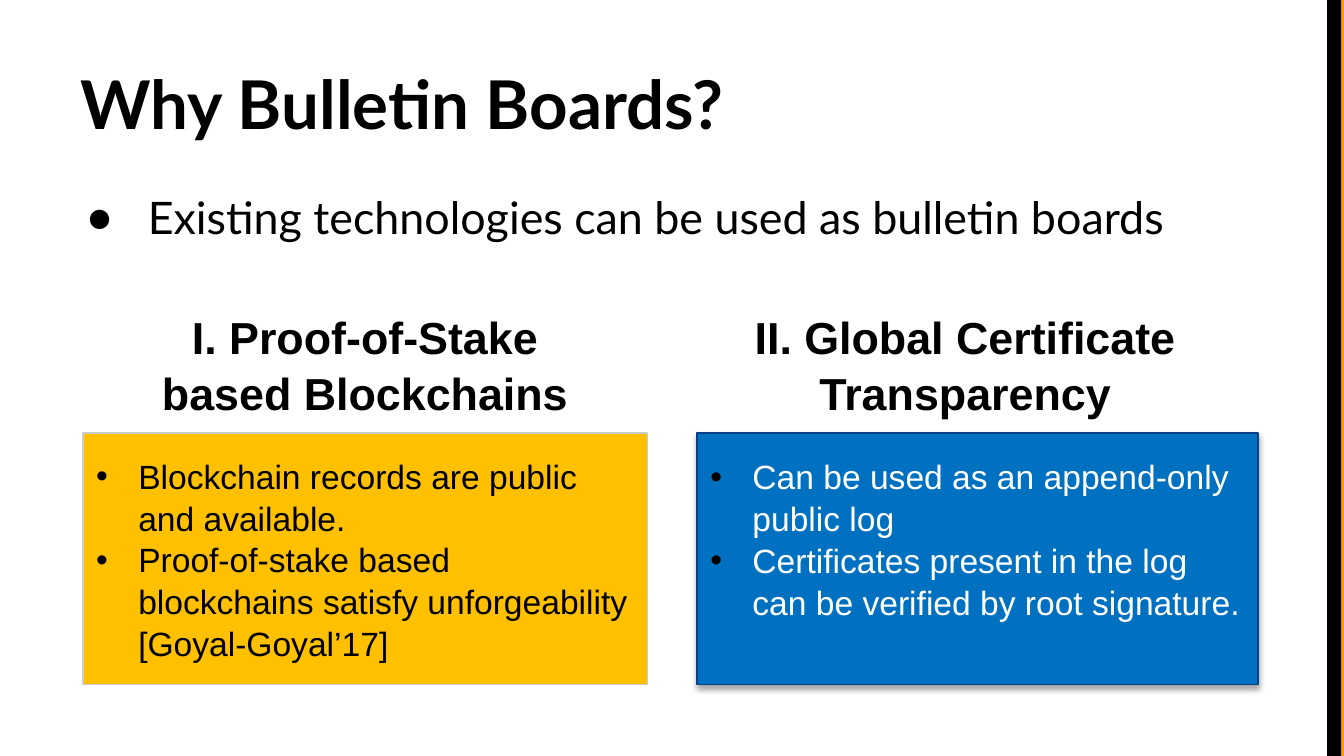
import lxml.etree
import pptx
import pptx.dml.color
import pptx.enum.shapes
import pptx.enum.text
import pptx.oxml.ns
import pptx.util

Pt = pptx.util.Pt
ANCHOR = pptx.enum.text.MSO_ANCHOR
ALIGN = pptx.enum.text.PP_ALIGN
AUTO_SIZE = pptx.enum.text.MSO_AUTO_SIZE

COLORS = {
    "black": "000000",
    "white": "FFFFFF",
    "orange": "FF9900",
    "yellow": "FFC000",
    "gray": "CCCCCC",
    "blue": "0070C0",
    "navy": "073E87",
}
SLIDE_WIDTH, SLIDE_HEIGHT = 720, 405
CARD_TOP, CARD_HEIGHT = 232, 134.75
HEADING_TOP, HEADING_HEIGHT = 161.25, 65.5
LINE_SPACING = 1.04
CARD_LINE = 21.6


def rgb(name):
    return pptx.dml.color.RGBColor.from_string(COLORS[name])


def add_element(parent, tag, **attributes):
    element = lxml.etree.SubElement(parent, pptx.oxml.ns.qn(tag))
    for name, value in attributes.items():
        element.set(name, str(value))
    return element


def add_bullet(paragraph, character, margin, hanging):
    properties = paragraph._p.get_or_add_pPr()
    properties.set("marL", str(Pt(margin)))
    properties.set("indent", str(-Pt(hanging)))
    color = add_element(properties, "a:buClr")
    add_element(color, "a:srgbClr", val=COLORS["black"])
    add_element(properties, "a:buFont", typeface="Arial")
    add_element(properties, "a:buChar", char=character)


def write_text(shape, lines, *, size, font="Arial", color="black", bold=False,
               align=ALIGN.LEFT, anchor=ANCHOR.TOP, insets=(7.2, 3.6, 7.2, 3.6),
               auto_size=AUTO_SIZE.NONE, spacing=1.0, bullet=None):
    """Fill a shape with one paragraph per line; insets are left, top, right, bottom."""
    frame = shape.text_frame
    frame.word_wrap = True
    frame.auto_size = auto_size
    frame.vertical_anchor = anchor
    (frame.margin_left, frame.margin_top,
     frame.margin_right, frame.margin_bottom) = map(Pt, insets)
    for index, line in enumerate(lines):
        paragraph = frame.add_paragraph() if index else frame.paragraphs[0]
        if bullet:
            add_bullet(paragraph, *bullet)
        paragraph.alignment = align
        paragraph.line_spacing = spacing
        paragraph.space_before = Pt(0)
        run = paragraph.add_run()
        run.text = line
        run.font.name = font
        run.font.size = Pt(size)
        run.font.bold = bold
        run.font.color.rgb = rgb(color)


def place(shape, left, top, width, height):
    shape.left, shape.top, shape.width, shape.height = map(Pt, (left, top, width, height))


def add_rectangle(slide, left, top, width, height, fill, line=None):
    shape = slide.shapes.add_shape(
        pptx.enum.shapes.MSO_SHAPE.RECTANGLE, *map(Pt, (left, top, width, height)))
    shape.shadow.inherit = False
    shape.fill.solid()
    shape.fill.fore_color.rgb = rgb(fill)
    if line:
        shape.line.color.rgb = rgb(line)
        shape.line.width = Pt(0.75)
    else:
        shape.line.fill.background()
    return shape


def add_shadow(shape):
    effects = shape._element.spPr.find(pptx.oxml.ns.qn("a:effectLst"))
    shadow = add_element(effects, "a:outerShdw", blurRad=Pt(3.1), dist=Pt(1.8),
                         dir=90 * 60000, rotWithShape=0)
    color = add_element(shadow, "a:srgbClr", val=COLORS["black"])
    add_element(color, "a:alpha", val=35000)


def add_card(slide, left, width, lines, fill, line, color, lines_below=0):
    """Add a bulleted card, keeping room for lines_below empty lines at its foot."""
    card = add_rectangle(slide, left, CARD_TOP, width, CARD_HEIGHT, fill, line)
    write_text(card, lines, size=18, color=color, anchor=ANCHOR.MIDDLE,
               insets=(7.2, 3.6, 7.2, 3.6 + lines_below * CARD_LINE),
               spacing=LINE_SPACING, bullet=("•", 22.5, 22.5))
    return card


def add_heading(slide, left, width, text):
    box = slide.shapes.add_textbox(*map(Pt, (left, HEADING_TOP, width, HEADING_HEIGHT)))
    write_text(box, [text], size=24, bold=True, align=ALIGN.CENTER,
               auto_size=AUTO_SIZE.SHAPE_TO_FIT_TEXT, spacing=LINE_SPACING)


def main():
    presentation = pptx.Presentation()
    presentation.slide_width = Pt(SLIDE_WIDTH)
    presentation.slide_height = Pt(SLIDE_HEIGHT)
    slide = presentation.slides.add_slide(presentation.slide_layouts[1])

    add_rectangle(slide, 718.5, 0, 1.5, SLIDE_HEIGHT, "orange")
    add_rectangle(slide, 711, 0, 7.5, SLIDE_HEIGHT, "black")

    title, body = slide.placeholders
    place(title, 36, 16.5, 648, 67.5)
    write_text(title, ["Why Bulletin Boards?"], size=36, font="Lato", bold=True,
               anchor=ANCHOR.BOTTOM, insets=(7.2,) * 4)
    place(body, 36, 94.5, 648, 293)
    write_text(body, ["Existing technologies can be used as bulletin boards"],
               size=24, font="Lato", insets=(7.2,) * 4, bullet=("●", 36, 33))

    add_card(slide, 44.5, 302.5,
             ["Blockchain records are public and available.",
              "Proof-of-stake based blockchains satisfy unforgeability [Goyal-Goyal’17]"],
             "yellow", "gray", "black")
    log_card = add_card(slide, 373.5, 300.5,
                        ["Can be used as an append-only public log",
                         "Certificates present in the log can be verified by root signature."],
                        "blue", "navy", "white", lines_below=1)
    add_shadow(log_card)

    add_heading(slide, 73.5, 244, "I. Proof-of-Stake based Blockchains")
    add_heading(slide, 389, 256, "II. Global Certificate Transparency")

    presentation.save("out.pptx")


if __name__ == "__main__":
    main()
